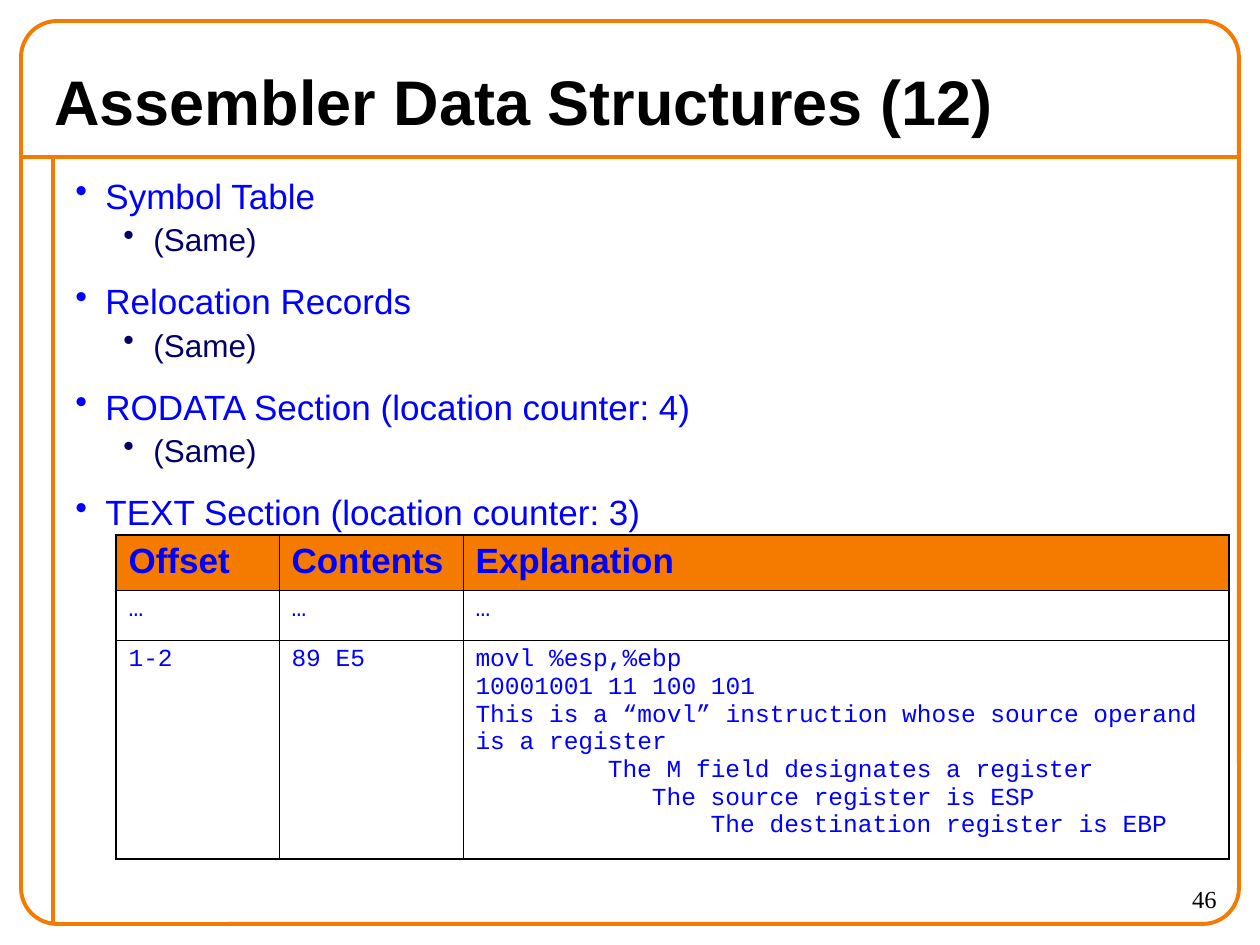
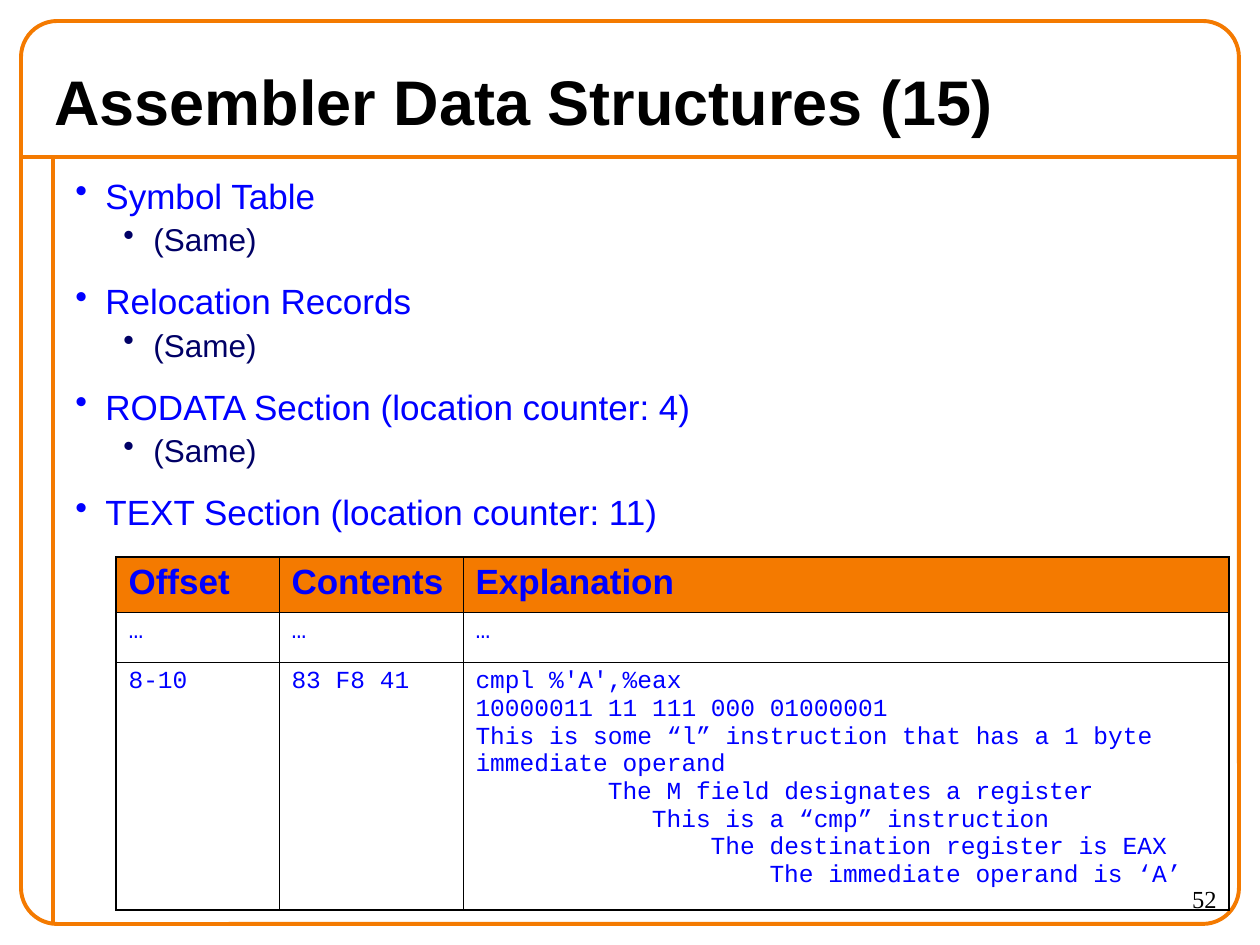
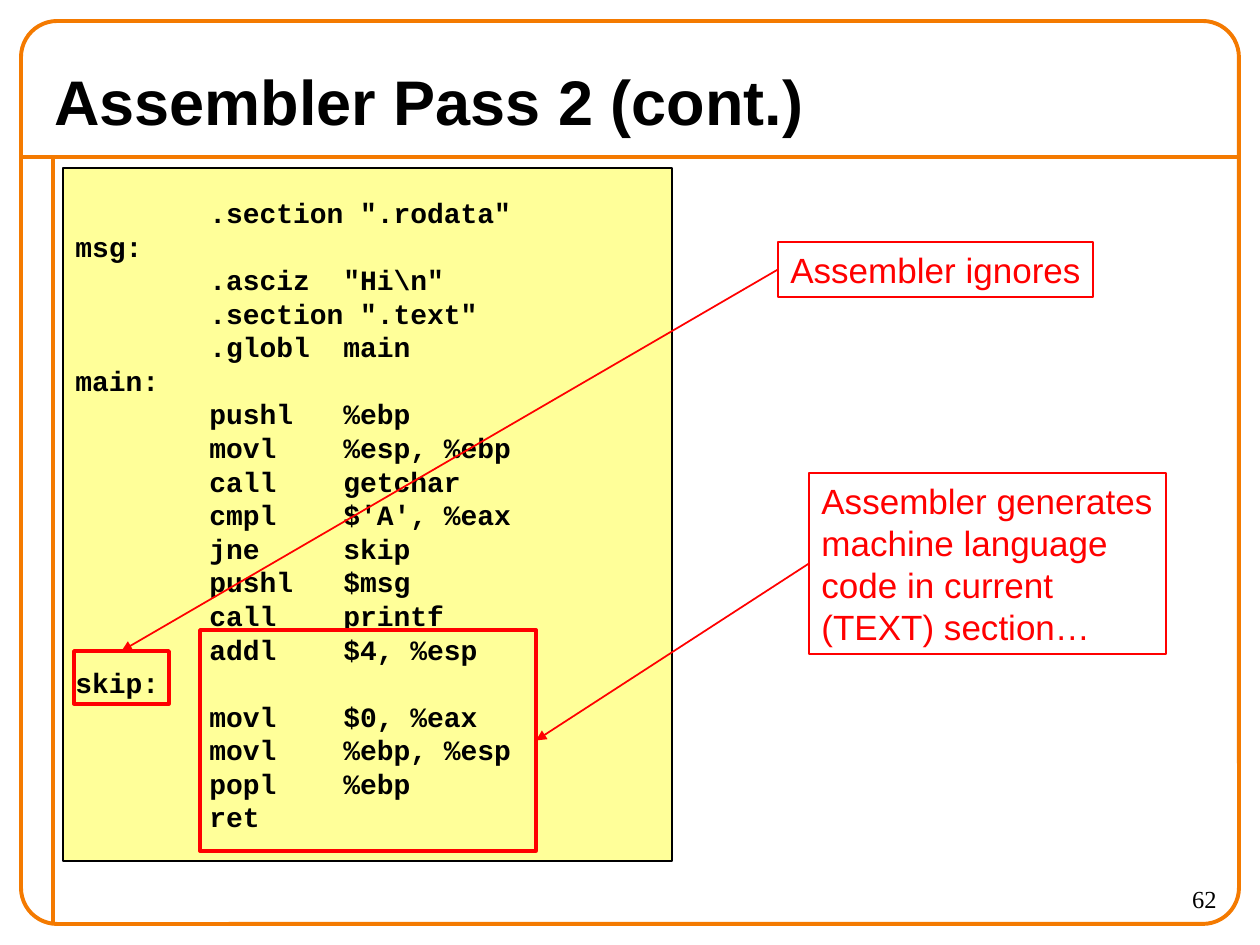
from lxml.etree import SubElement
from pptx import Presentation
from pptx.dml.color import RGBColor as Rgb
from pptx.enum.shapes import MSO_CONNECTOR as Conn, MSO_SHAPE as Shape
from pptx.enum.text import MSO_ANCHOR as Anchor, PP_ALIGN as Align
from pptx.oxml.ns import qn
from pptx.util import Emu, Pt

SCALE = 914400 / 126
ORANGE, BLUE, NAVY = "F47A00", "0000FF", "000066"
RED, BLACK, CREAM = "FF0000", "000000", "FFFF99"
SANS, MONO, SERIF = "Arial", "Courier New", "Times New Roman"
LEADING = 1.2
MONO_WIDTH = 14.7

HEADS = ["Offset", "Contents", "Explanation"]
DOTS = ["…"] * 3
MOVL = [
    (0, "movl %esp,%ebp"),
    (0, "10001001 11 100 101"),
    (0, "This is a “movl” instruction whose source operand is a register"),
    (9, "The M field designates a register"),
    (12, "The source register is ESP"),
    (16, "The destination register is EBP"),
]
CMPL = [
    (0, "cmpl %'A',%eax"),
    (0, "10000011 11 111 000 01000001"),
    (0, "This is some “l” instruction that has a 1 byte immediate operand"),
    (9, "The M field designates a register"),
    (12, "This is a “cmp” instruction"),
    (16, "The destination register is EAX"),
    (20, "The immediate operand is ‘A’"),
]
CODE = r'''        .section ".rodata"
msg:
        .asciz  "Hi\n"
        .section ".text"
        .globl  main
main:
        pushl   %ebp
        movl    %esp, %ebp
        call    getchar
        cmpl    $'A', %eax
        jne     skip
        pushl   $msg
        call    printf
        addl    $4, %esp
skip:
        movl    $0, %eax
        movl    %ebp, %esp
        popl    %ebp
        ret'''


def px(*vals):
    return [Emu(round(val * SCALE)) for val in vals]


def color(code):
    return Rgb.from_string(code)


def style(par, size, face, tint, bold=False):
    font = par.font
    font.size, font.name, font.bold = Pt(size), face, bold
    font.color.rgb = color(tint)


def write(frame, lines, size, face, tint, bold=False, align=Align.LEFT):
    for num, line in enumerate(lines):
        par = frame.add_paragraph() if num else frame.paragraphs[0]
        par.text = line
        par.alignment = align
        par.line_spacing = Pt(size * LEADING)
        style(par, size, face, tint, bold)


def indent(par, left, hang=0):
    props = par._p.get_or_add_pPr()
    props.set("marL", str(px(left)[0]))
    props.set("indent", str(px(-hang)[0]))
    return props


def add_text(slide, box, line, *look, **more):
    frame = slide.shapes.add_textbox(*px(*box)).text_frame
    frame.word_wrap = True
    frame.vertical_anchor = Anchor.MIDDLE
    write(frame, [line], *look, **more)


def add_box(slide, box, line, width, fill=None, kind=Shape.RECTANGLE):
    shape = slide.shapes.add_shape(kind, *px(*box))
    shape.shadow.inherit = False
    shape.line.color.rgb = color(line)
    shape.line.width = Pt(width)
    if fill:
        shape.fill.solid()
        shape.fill.fore_color.rgb = color(fill)
    else:
        shape.fill.background()
    return shape


def add_line(slide, ends, tint, width):
    line = slide.shapes.add_connector(Conn.STRAIGHT, *px(*ends))
    line.line.color.rgb = color(tint)
    line.line.width = Pt(width)
    SubElement(line._element.spPr, qn("a:effectLst"))
    return line


def add_arrow(slide, start, side, goal, end):
    arrow = add_line(slide, (0, 0, 0, 0), RED, 1)
    arrow.begin_connect(start, side)
    arrow.end_connect(goal, end)
    SubElement(arrow.line._get_or_add_ln(), qn("a:tailEnd"), type="triangle")


def add_note(slide, box, lines):
    note = add_box(slide, box, RED, 1)
    frame = note.text_frame
    frame.word_wrap = False
    frame.vertical_anchor = Anchor.TOP
    write(frame, lines, 20, SANS, RED)
    return note


def add_list(slide, count):
    frame = slide.shapes.add_textbox(*px(63, 168, 1155, 756)).text_frame
    frame.word_wrap = True
    heads = ["Symbol Table", "Relocation Records", "RODATA Section (location counter: 4)"]
    items = [item for head in heads for item in ((0, head), (1, "(Same)"))]
    items.append((0, f"TEXT Section (location counter: {count})"))
    looks = [(30, 20, BLUE, 12.5), (78, 18, NAVY, 2.2)]
    for num, (level, line) in enumerate(items):
        left, size, tint, gap = looks[level]
        par = frame.add_paragraph() if num else frame.paragraphs[0]
        par.text = line
        par.level = level
        props = indent(par, left, 30)
        SubElement(SubElement(props, qn("a:buClr")), qn("a:srgbClr"), val=tint)
        SubElement(props, qn("a:buChar"), char="•")
        par.line_spacing = Pt(size * LEADING)
        if num:
            par.space_before = Pt(gap)
        style(par, size, SANS, tint)


def add_edges(cell, edges):
    props = cell._tc.get_or_add_tcPr()
    for side, outer in zip("LRTB", edges):
        edge = SubElement(props, qn(f"a:ln{side}"), w=str(Pt(1.08 if outer else 0.45)))
        SubElement(SubElement(edge, qn("a:solidFill")), qn("a:srgbClr"), val=BLACK)


def fill_cell(cell, lines, head):
    if head:
        cell.fill.solid()
        cell.fill.fore_color.rgb = color(ORANGE)
    else:
        cell.fill.background()
    frame = cell.text_frame
    for num, (chars, line) in enumerate(lines):
        par = frame.add_paragraph() if num else frame.paragraphs[0]
        par.text = line
        if chars:
            indent(par, chars * MONO_WIDTH)
        style(par, 20 if head else 14, SANS if head else MONO, BLUE, head)


def add_grid(slide, top, tall, entry):
    rows = [HEADS, DOTS, entry]
    wide, high = (163, 184, 766), (55, 50, tall)
    table = slide.shapes.add_table(3, 3, *px(116, top, sum(wide), sum(high))).table
    table.first_row = table.horz_banding = False
    for col, width in zip(table.columns, px(*wide)):
        col.width = width
    for row, height in zip(table.rows, px(*high)):
        row.height = height
    for y, row in enumerate(rows):
        for x, item in enumerate(row):
            cell = table.cell(y, x)
            add_edges(cell, (x == 0, x == 2, y == 0, y == 2))
            fill_cell(cell, [(0, item)] if isinstance(item, str) else item, y == 0)


def add_slide(deck, title, page):
    slide = deck.slides.add_slide(deck.slide_layouts[6])
    add_line(slide, (21, 157, 1239, 157), ORANGE, 2.25)
    add_line(slide, (53, 157, 53, 924), ORANGE, 2.25)
    rim = add_box(slide, (21, 21, 1218, 903), ORANGE, 2.25, kind=Shape.ROUNDED_RECTANGLE)
    rim.adjustments[0] = 0.04
    add_text(slide, (1103, 872, 126, 53), str(page), 14, SERIF, BLACK, align=Align.RIGHT)
    add_text(slide, (42, 53, 1176, 95), title, 36, SANS, BLACK, bold=True)
    return slide


def add_data(deck, part, page, count, top, tall, entry):
    slide = add_slide(deck, f"Assembler Data Structures ({part})", page)
    add_list(slide, count)
    add_grid(slide, top, tall, entry)


def add_pass(deck):
    slide = add_slide(deck, "Assembler Pass 2 (cont.)", 62)
    frame = add_box(slide, (63, 168, 609, 693), BLACK, 1, CREAM).text_frame
    frame.word_wrap = True
    frame.vertical_anchor = Anchor.MIDDLE
    write(frame, CODE.split("\n"), 16, MONO, BLACK, bold=True)
    body = add_box(slide, (200, 630, 336, 221), RED, 2)
    emits = add_note(slide, (809, 473, 357, 181), [
        "Assembler generates", "machine language", "code in current", "(TEXT) section…"])
    add_arrow(slide, emits, 1, body, 3)
    label = add_box(slide, (74, 651, 95, 53), RED, 2)
    skips = add_note(slide, (778, 242, 315, 55), ["Assembler ignores"])
    add_arrow(slide, skips, 1, label, 0)


def main():
    deck = Presentation()
    deck.slide_width, deck.slide_height = px(1260, 945)
    add_data(deck, 12, 46, 3, 535, 219, ["1-2", "89 E5", MOVL])
    add_data(deck, 15, 52, 11, 557, 248, ["8-10", "83 F8 41", CMPL])
    add_pass(deck)
    deck.save("out.pptx")


if __name__ == "__main__":
    main()
